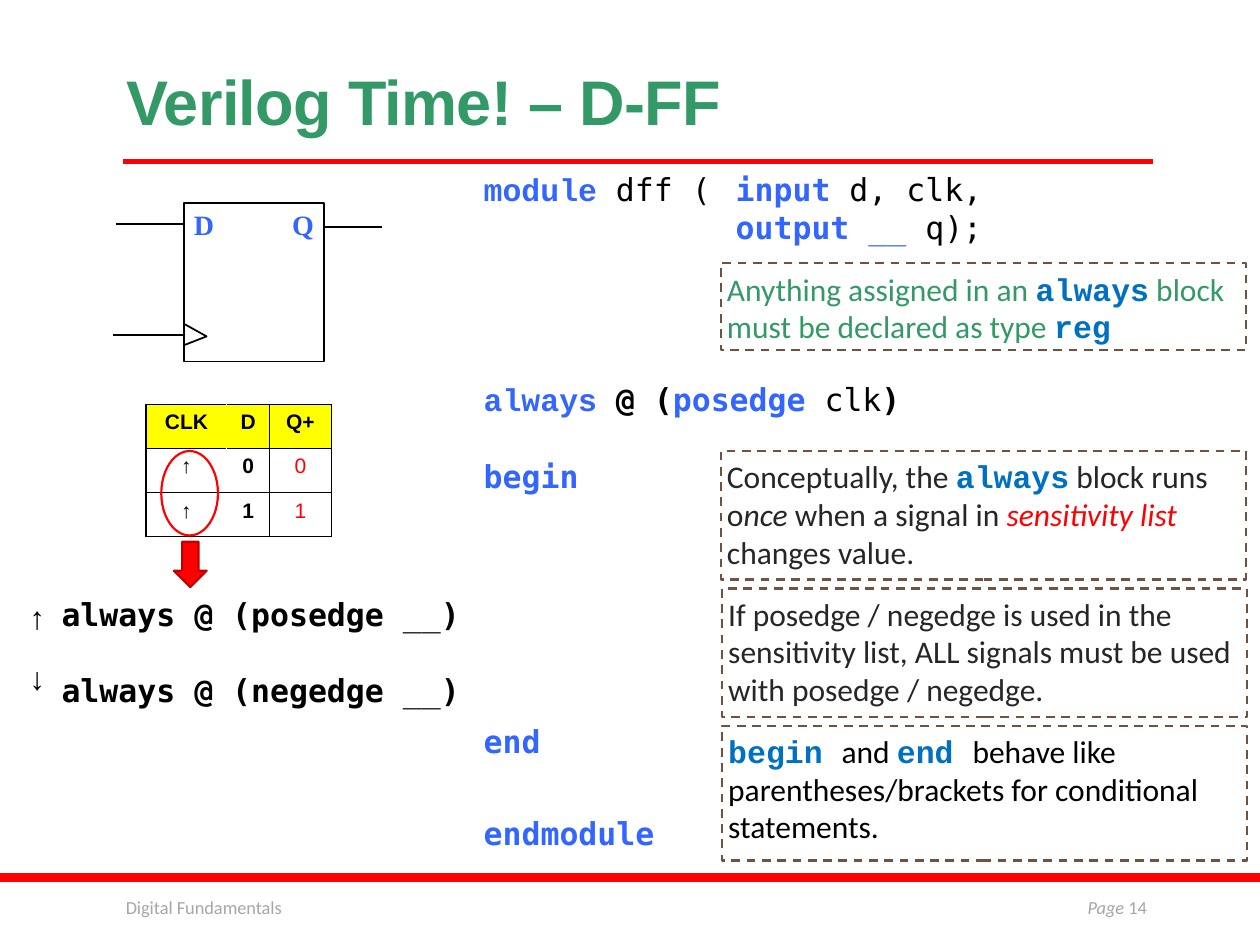
"""Build the D flip-flop Verilog slide."""
from lxml.etree import SubElement as Sub
from pptx import Presentation
from pptx.dml.color import RGBColor
from pptx.enum.dml import MSO_LINE_DASH_STYLE as Dash
from pptx.enum.shapes import MSO_CONNECTOR as Link, MSO_SHAPE as Form
from pptx.enum.text import MSO_ANCHOR as Anchor, PP_ALIGN as Align
from pptx.oxml.ns import qn
from pptx.util import Inches, Pt

hue = RGBColor.from_string
unit = Inches(0.1)
mono, code, sans = "DejaVu Sans Mono", "Courier New", "Calibri"
looks = {
    "title": ("Arial", "339966", 1, 0),
    "word": (code, "3366FF", 1, 0),
    "key": (mono, "3366FF", 1, 0),
    "gap": (mono, "3366FF", 0, 0),
    "bold": (mono, "000000", 1, 0),
    "plain": (mono, "000000", 0, 0),
    "term": (code, "0070C0", 1, 0),
    "dark": (sans, "262626", 0, 0),
    "lean": (sans, "262626", 0, 1),
    "alert": (sans, "FF0000", 0, 1),
    "green": (sans, "339966", 0, 0),
    "black": (sans, "000000", 0, 0),
    "pale": (sans, "A6A6A6", 0, 0),
    "page": (sans, "A6A6A6", 0, 1),
    "pin": ("Times New Roman", "3366FF", 1, 0),
    "head": ("Arial", "000000", 1, 0),
    "out": ("Arial", "FF0000", 0, 0),
}


def at(*cells):
    """Turn grid cells into lengths."""
    return [round(cell * unit) for cell in cells]


def write(frame, lines, size=18, align=Align.LEFT):
    """Fill a frame with lines of (space before, runs)."""
    frame.word_wrap = True
    for n, (space, runs) in enumerate(lines):
        para = frame.add_paragraph() if n else frame.paragraphs[0]
        para.alignment = align
        para.space_before = Pt(space)
        for text, look in runs:
            run = para.add_run()
            run.text = text
            font = run.font
            font.name, tint, font.bold, font.italic = looks[look]
            font.color.rgb = hue(tint)
            font.size = Pt(size)


deck = Presentation()
deck.slide_width, deck.slide_height = at(100, 75)
slide = deck.slides.add_slide(deck.slide_layouts[5])
shapes = slide.shapes

title = shapes.title
title.left, title.top, title.width, title.height = at(9, 3.1, 82.5, 8.4)
write(title.text_frame, [(0, [("Verilog Time! – D-FF", "title")])], 36)
title.text_frame.vertical_anchor = Anchor.BOTTOM
head = title.text_frame.paragraphs[0]
head.line_spacing = 0.85
head.runs[0].font._element.set("spc", "-40")

forms = [
    (Form.RECTANGLE, (0, 69.3, 100, 0.7), "FF0000", None, 0, 0),
    (Form.RECTANGLE, (14.6, 16.1, 11.1, 12.6), None, "000000", 1, 0),
    (Form.RIGHT_ARROW, (13.3, 43.5, 3.6, 2.6), "FF0000", "BD0000", 1.25, 90),
]
ring = (Form.OVAL, (12.8, 35.8, 4.5, 6.7), None, "FF0000", 1.25, 0)

grid = shapes.add_table(3, 3, *at(11.6, 32.1, 14.7, 10.5)).table
grid.first_row = grid.horz_banding = False
for col, wide in zip(grid.columns, at(6.4, 3.4, 4.9)):
    col.width = wide
for r, words in enumerate([("CLK", "D", "Q+"), ("↑", "0", "0"), ("↑", "1", "1")]):
    for c, word in enumerate(words):
        cell = grid.cell(r, c)
        look = "out" if r and c == 2 else "head"
        write(cell.text_frame, [(0, [(word, look)])], 12, Align.CENTER)
        blend = "FFFFFF" if r else "FFFF00"
        hidden = {0: "lnR", 1: "lnL"}.get(c)
        for side in ("lnL", "lnR", "lnT", "lnB"):
            edge = Sub(cell._tc.get_or_add_tcPr(), qn("a:" + side), w=str(Pt(1)))
            ink = Sub(edge, qn("a:solidFill"))
            Sub(ink, qn("a:srgbClr"), val=blend if side == hidden else "000000")
        if r:
            cell.fill.background()
        else:
            cell.fill.solid()
            cell.fill.fore_color.rgb = hue("FFFF00")

for form, place, fill, line, thick, turn in forms + [ring]:
    item = shapes.add_shape(form, *at(*place))
    item.shadow.inherit = False
    item.rotation = turn
    if fill:
        item.fill.solid()
        item.fill.fore_color.rgb = hue(fill)
    else:
        item.fill.background()
    if line:
        item.line.color.rgb = hue(line)
        item.line.width = Pt(thick)
    else:
        item.line.fill.background()

for ends, tint, thick in [
    ((9.8, 12.8, 91.5, 12.8), "FF0000", 3),
    ((9, 26.6, 14.5, 26.6), "000000", 1),
    ((9.2, 17.8, 14.6, 17.8), "000000", 1),
    ((25.8, 18, 30.3, 18), "000000", 1),
]:
    wire = shapes.add_connector(Link.STRAIGHT, *at(*ends))
    wire.line.color.rgb = hue(tint)
    wire.line.width = Pt(thick)
    Sub(wire._element.spPr, qn("a:effectLst"))

path = shapes.build_freeform(*at(14.6, 25.7))
path.add_line_segments([at(16.4, 26.7), at(14.6, 27.4)], close=False)
clock = path.convert_to_shape()
clock.shadow.inherit = False
clock.fill.background()
clock.line.color.rgb = hue("000000")
clock.line.width = Pt(1)

module = [
    (0, [("module ", "word"), ("dff (\t", "plain"), ("input ", "key"), ("d, clk,", "plain")]),
    (0, [("\t\t\t\t", "plain"), ("output", "key"), (" __ ", "gap"), ("q);", "plain")]),
    (325, [("endmodule", "key")]),
]
always = [
    (0, [("always ", "word"), ("@ (", "bold"), ("posedge ", "key"),
         ("clk", "plain"), (")", "bold")]),
    (22, [("begin", "key")]),
    (130, [("end", "key")]),
]
edges = [(space, [(f"always @ ({edge} ", "bold"), ("__", "plain"), (")", "bold")])
         for space, edge in [(0, "posedge"), (22, "negedge")]]
footer = [(0, [("Digital Fundamentals", "pale")])]
page = [(0, [("Page ", "page"), ("14", "pale")])]
for place, lines, size, align in [
    ((37.4, 13, 57.1, 55.5), module, 18, Align.LEFT),
    ((37.4, 29.7, 57.1, 34.3), always, 18, Align.LEFT),
    ((3.9, 46.7, 34, 10.1), edges, 18, Align.LEFT),
    ((14.4, 16, 3.8, 3.7), [(0, [("D", "pin")])], 16, Align.LEFT),
    ((22.2, 16, 3.8, 3.7), [(0, [("Q", "pin")])], 16, Align.LEFT),
    ((9, 70.6, 39.6, 4), footer, 10.5, Align.LEFT),
    ((81.2, 70.6, 10.8, 4), page, 10.5, Align.RIGHT),
]:
    write(shapes.add_textbox(*at(*place)).text_frame, lines, size, align)

for top, turn in [(47, 0), (52.4, 180)]:
    mark = shapes.add_textbox(*at(1.2, top, 3.5, 4))
    mark.rotation = turn
    mark.text_frame.margin_left = mark.text_frame.margin_right = 0
    write(mark.text_frame, [(0, [("↑", "head")])], 18, Align.CENTER)

for left, top, tall, runs in [
    (57.2, 20.9, 6.9, [("Anything assigned in an ", "green"), ("always", "term"),
                       (" block must be declared as type ", "green"), ("reg", "term")]),
    (57.2, 35.8, 10.2, [("Conceptually, the ", "dark"), ("always", "term"),
                        (" block runs o", "dark"), ("nce ", "lean"),
                        ("when a signal in ", "dark"), ("sensitivity list ", "alert"),
                        ("changes value.", "dark")]),
    (57.3, 46.7, 10.2, [("If posedge / negedge is used in the sensitivity list, "
                         "ALL signals must be used with posedge / negedge.", "dark")]),
    (57.3, 57.6, 10.7, [("begin ", "term"), ("and ", "black"), ("end ", "term"),
                        ("behave like parentheses/brackets for conditional "
                         "statements.", "black")]),
]:
    note = shapes.add_shape(Form.RECTANGLE, *at(left, top, 41.7, tall))
    note.shadow.inherit = False
    note.fill.solid()
    note.fill.fore_color.rgb = hue("FFFFFF")
    note.line.color.rgb = hue("705241")
    note.line.width = Pt(1.25)
    note.line.dash_style = Dash.DASH
    frame = note.text_frame
    frame.vertical_anchor = Anchor.TOP
    frame.margin_left = frame.margin_right = Inches(0.05)
    write(frame, [(0, runs)])

deck.save("out.pptx")
